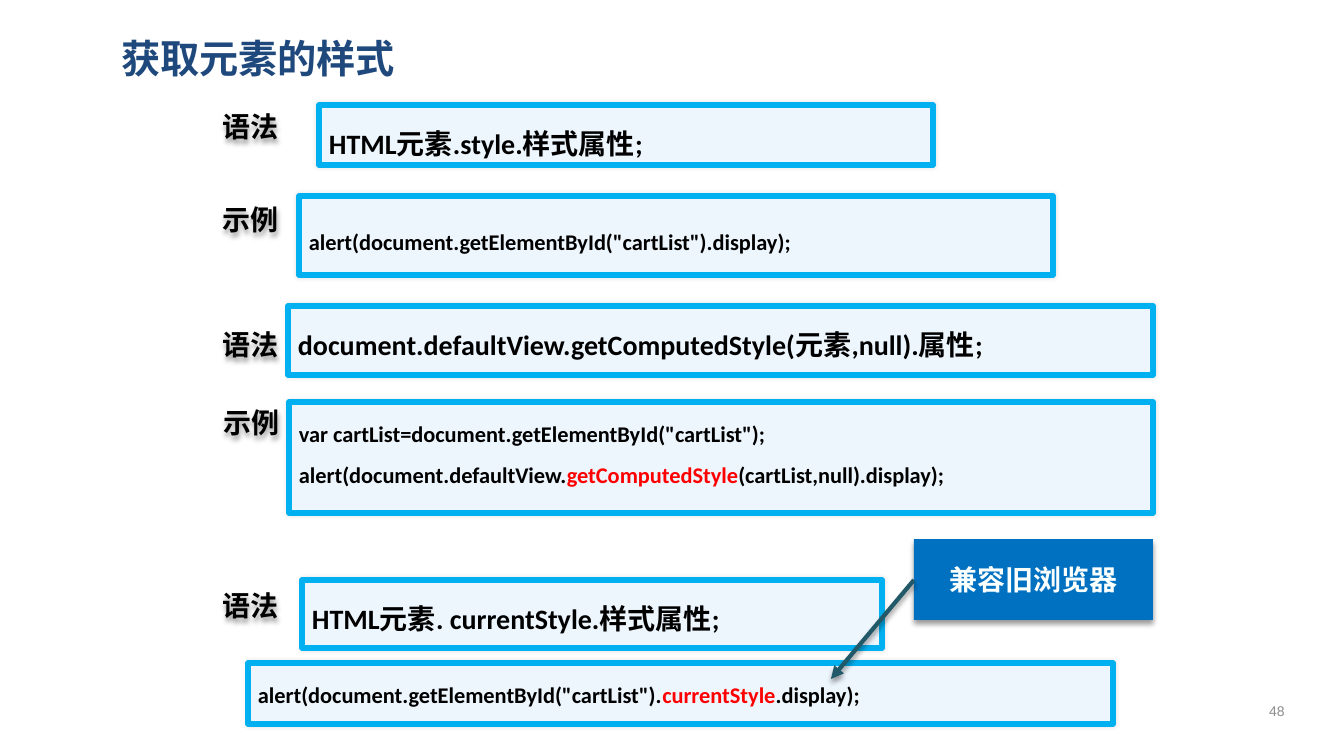
"""Build the slide on reading element styles in JavaScript."""
import pptx
import pptx.util
import pptx.dml.color
import pptx.enum.shapes
import pptx.enum.text
import pptx.oxml
import pptx.oxml.ns

RGB = pptx.dml.color.RGBColor
Pt = pptx.util.Pt
MSO = pptx.enum.shapes.MSO_SHAPE
ANCHOR = pptx.enum.text.MSO_ANCHOR
ALIGN = pptx.enum.text.PP_ALIGN
NAVY, GREY, BLACK = RGB(31, 73, 125), RGB(140, 140, 140), RGB(0, 0, 0)
PALE, CYAN, RED = RGB(237, 245, 253), RGB(0, 176, 240), RGB(255, 0, 0)
BLUE, WHITE, TEAL = RGB(0, 112, 192), RGB(251, 255, 254), RGB(33, 89, 104)
CJK = "Noto Sans CJK SC"
PX = 914400 / 100.8

TITLE = ("获取元素的样式", (111, 24, 1174, 68))
PAGE = ("48", (1244, 691, 66, 40))
LABELS = [("语法", 213, 104), ("示例", 213, 197), ("语法", 213, 322),
          ("示例", 214, 400), ("语法", 213, 583)]
LABEL_SIZE = (78, 44)
BOXES = [
    ((319, 105, 614, 60), 20, 1.5, [["HTML元素.style.样式属性;"]]),
    ((299, 196, 754, 79), 16, 2.0,
     [['alert(document.getElementById("cartList").display);']]),
    ((288, 306, 865, 69), 20, 1.5,
     [["document.defaultView.getComputedStyle(元素,null).属性;"]]),
    ((289, 402, 864, 111), 16, 1.5,
     [['var cartList=document.getElementById("cartList");'],
      ["alert(document.defaultView.", "getComputedStyle",
       "(cartList,null).display);"]]),
    ((302, 580, 580, 68), 20, 1.5, [["HTML元素. currentStyle.样式属性;"]]),
    ((248, 663, 865, 61), 16, 1.5,
     [['alert(document.getElementById("cartList").', "currentStyle",
       ".display);"]]),
]
KEYWORDS = {"getComputedStyle", "currentStyle"}
CALLOUT = ("兼容旧浏览器", (914, 539, 239, 81))
ARROW = (914, 580, 831, 679)


def emu(*lengths):
    return [round(n * PX) for n in lengths]


def add_xml(parent, xml):
    ns = pptx.oxml.ns.nsdecls("a")
    parent.append(pptx.oxml.parse_xml(xml.replace("/>", f" {ns}/>", 1)
                  if xml.count("<") == 1 else xml.replace(">", f" {ns}>", 1)))


def add_shadow(sp, alpha, blur, dist, angle):
    add_xml(sp._element.spPr,
            f'<a:effectLst><a:outerShdw blurRad="{Pt(blur)}" '
            f'dist="{Pt(dist)}" dir="{angle * 60000}" rotWithShape="0">'
            f'<a:srgbClr val="000000"><a:alpha val="{alpha * 1000}"/>'
            '</a:srgbClr></a:outerShdw></a:effectLst>')


def write(tf, lines, size, color, font=CJK, bold=True, align=ALIGN.LEFT,
          anchor=ANCHOR.TOP, spacing=None, wrap=True):
    tf.word_wrap, tf.vertical_anchor = wrap, anchor
    for i, line in enumerate(lines):
        p = tf.add_paragraph() if i else tf.paragraphs[0]
        p.alignment = align
        p.line_spacing = spacing
        f = p.font
        f.size, f.bold, f.name = Pt(size), bold, font
        f.color.rgb = color
        add_xml(f._element, f'<a:ea typeface="{CJK}"/>')
        for text in line:
            r = p.add_run()
            r.text = text
            if text in KEYWORDS:
                r.font.color.rgb = RED


def add_block(s, place, fill):
    sp = s.shapes.add_shape(MSO.RECTANGLE, *emu(*place))
    sp.fill.solid()
    sp.fill.fore_color.rgb = fill
    return sp


def main():
    prs = pptx.Presentation()
    prs.slide_width, prs.slide_height = emu(1344, 756)
    s = prs.slides.add_slide(prs.slide_layouts[5])
    for ph in list(s.placeholders):
        if ph != s.shapes.title:
            ph._element.getparent().remove(ph._element)

    text, place = TITLE
    sp = s.shapes.title
    sp.left, sp.top, sp.width, sp.height = emu(*place)
    write(sp.text_frame, [[text]], 28, NAVY, anchor=ANCHOR.MIDDLE)

    text, place = PAGE
    sp = s.shapes.add_textbox(*emu(*place))
    write(sp.text_frame, [[text]], 10, GREY, "Arial", False, ALIGN.CENTER,
          ANCHOR.MIDDLE)

    for place, size, spacing, lines in BOXES:
        sp = add_block(s, place, PALE)
        sp.line.color.rgb, sp.line.width = CYAN, Pt(4)
        add_shadow(sp, 10, 3, 0, 0)
        write(sp.text_frame, lines, size, BLACK, "Calibri", spacing=spacing)

    for text, x, y in LABELS:
        sp = s.shapes.add_textbox(*emu(x, y, *LABEL_SIZE))
        add_shadow(sp, 40, 4, 3, 90)
        write(sp.text_frame, [[text]], 20, BLACK, anchor=ANCHOR.MIDDLE,
              wrap=False)

    text, place = CALLOUT
    sp = add_block(s, place, BLUE)
    sp.line.fill.background()
    add_shadow(sp, 40, 4, 3, 90)
    write(sp.text_frame, [[text]], 20, WHITE, align=ALIGN.CENTER,
          anchor=ANCHOR.MIDDLE)

    sp = s.shapes.add_connector(pptx.enum.shapes.MSO_CONNECTOR.STRAIGHT,
                                *emu(*ARROW))
    sp.line.color.rgb, sp.line.width = TEAL, Pt(3)
    add_xml(sp.line._get_or_add_ln(), '<a:tailEnd type="triangle"/>')
    add_shadow(sp, 40, 4, 3, 90)
    prs.save("out.pptx")


if __name__ == "__main__":
    main()
